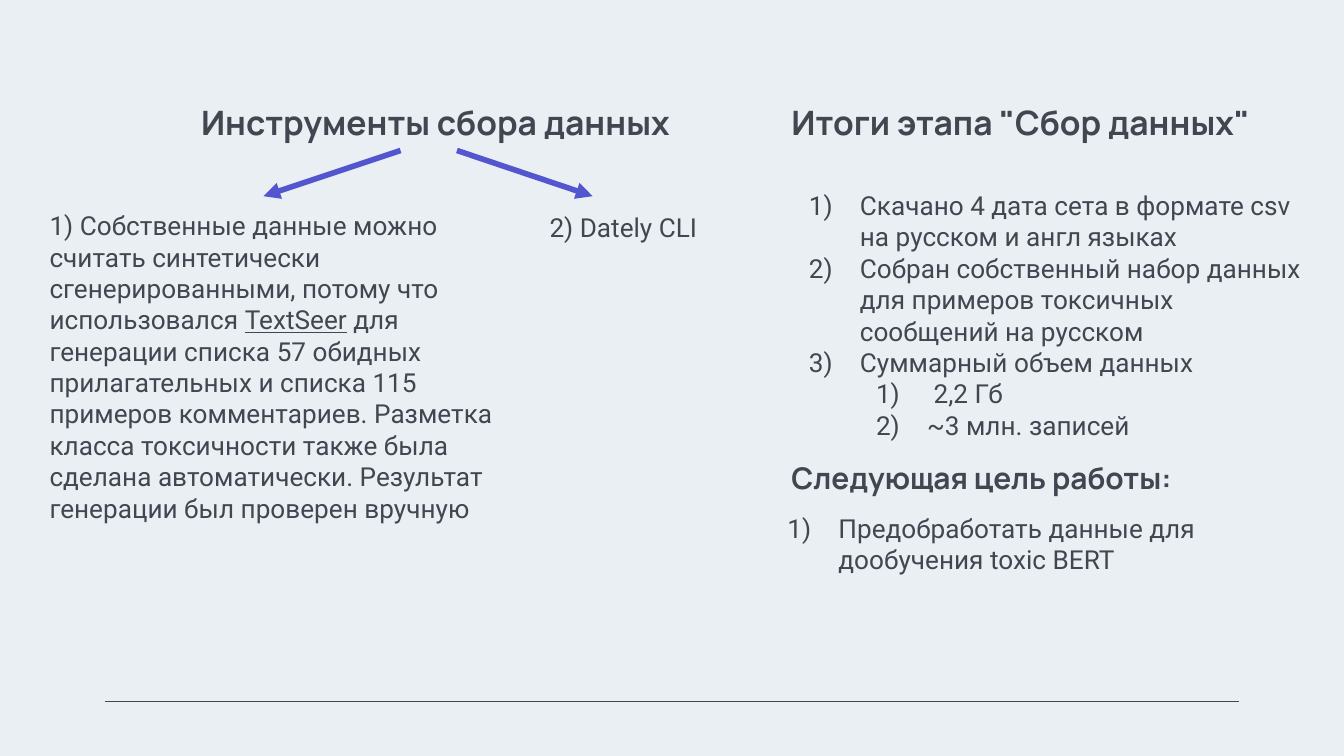
from dataclasses import dataclass
from typing import Optional

from lxml import etree
from pptx import Presentation
from pptx import util as u
from pptx.dml.color import RGBColor
from pptx.enum import shapes, text
from pptx.oxml import ns

CELL = 0.1  # inches per grid column and row
INK, ACCENT, PAPER = "424651", "5456CF", "EAEFF4"
TITLE_FONT, BODY_FONT = "Manrope", "Roboto"


@dataclass
class Box:
    column: float
    row: float
    columns: float
    rows: float


@dataclass
class Run:
    words: str
    underline: bool = False


@dataclass
class Item:
    runs: list[Run]
    level: int = 0


@dataclass
class Line:
    start: tuple[float, float]
    end: tuple[float, float]
    color: str
    weight: float
    arrow: bool = False


def grid(cells: float) -> int:
    return u.Inches(cells * CELL)


def color(value: str) -> RGBColor:
    return RGBColor.from_string(value)


def add_child(parent, tag: str, **attributes: str):
    return etree.SubElement(parent, ns.qn(tag), **attributes)


def set_indent(paragraph, left: float, hanging: float = 0) -> None:
    properties = paragraph._p.get_or_add_pPr()
    properties.set("marL", str(grid(left)))
    properties.set("indent", str(-grid(hanging)))


def number_paragraph(paragraph, level: int) -> None:
    paragraph.level = level
    set_indent(paragraph, 5.4 + 5 * level, 3.8)
    properties = paragraph._p.get_or_add_pPr()
    add_child(add_child(properties, "a:buClr"), "a:srgbClr", val=INK)
    add_child(properties, "a:buFont", typeface=BODY_FONT)
    add_child(properties, "a:buAutoNum", type="arabicParenR")


def add_text(slide, box: Box, items: list[Item], *, size: float = 14,
             font: str = BODY_FONT, bold: bool = False, numbered: bool = False,
             indent: float = 0, inset: Optional[float] = 1,
             align=text.PP_ALIGN.LEFT) -> None:
    shape = slide.shapes.add_textbox(grid(box.column), grid(box.row),
                                     grid(box.columns), grid(box.rows))
    frame = shape.text_frame
    frame.word_wrap = True
    if inset is None:
        frame.auto_size = text.MSO_AUTO_SIZE.SHAPE_TO_FIT_TEXT
    else:
        frame.margin_left = frame.margin_right = grid(inset)
        frame.margin_top = frame.margin_bottom = grid(inset)
    for index, item in enumerate(items):
        paragraph = frame.add_paragraph() if index else frame.paragraphs[0]
        paragraph.alignment = align
        if numbered:
            number_paragraph(paragraph, item.level)
        elif indent:
            set_indent(paragraph, indent)
        for part in item.runs:
            run = paragraph.add_run()
            run.text = part.words
            run.font.name, run.font.size = font, u.Pt(size)
            run.font.bold, run.font.underline = bold, part.underline
            run.font.color.rgb = color(INK)


def add_line(slide, line: Line) -> None:
    connector = slide.shapes.add_connector(
        shapes.MSO_CONNECTOR.STRAIGHT, *map(grid, line.start + line.end))
    connector.line.color.rgb = color(line.color)
    connector.line.width = u.Pt(line.weight)
    if line.arrow:
        add_child(connector.line._get_or_add_ln(), "a:tailEnd", type="triangle")
    add_child(connector._element.spPr, "a:effectLst")


def plain(words: str, level: int = 0) -> Item:
    return Item([Run(words)], level)


def main() -> None:
    presentation = Presentation()
    presentation.slide_width, presentation.slide_height = grid(100), grid(56.25)
    slide = presentation.slides.add_slide(presentation.slide_layouts[6])
    slide.background.fill.solid()
    slide.background.fill.fore_color.rgb = color(PAPER)

    # Footer rule and the arrows branching from the left heading
    for line in (
        Line((7.8, 52.2), (92.2, 52.2), INK, 0.75),
        Line((29.8, 11.2), (19.6, 14.6), ACCENT, 3, arrow=True),
        Line((34, 11.2), (44.1, 14.6), ACCENT, 3, arrow=True),
    ):
        add_line(slide, line)

    # Collection tools
    add_text(slide, Box(13.8, 6.6, 37.2, 6.3), [plain("Инструменты сбора данных")],
             size=18, font=TITLE_FONT, bold=True, align=text.PP_ALIGN.CENTER)
    own_data = Item([
        Run("1) Собственные данные можно считать синтетически сгенерированными, "
            "потому что использовался "),
        Run("TextSeer", underline=True),
        Run(" для генерации списка 57 обидных прилагательных и списка 115 примеров "
            "комментариев. Разметка класса токсичности также была сделана "
            "автоматически. Результат генерации был проверен вручную"),
    ])
    add_text(slide, Box(1, 14.6, 37.2, 27), [own_data], indent=1.7)
    add_text(slide, Box(38.2, 14.7, 17.8, 4.4), [plain("2) Dately CLI")], indent=1.7)

    # Results of the stage
    add_text(slide, Box(57.9, 7.1, 37.8, 4), [plain('Итоги этапа "Сбор данных"')],
             size=18, font=TITLE_FONT, bold=True, inset=None)
    results = [
        plain("Скачано 4 дата сета в формате csv на русском и англ языках"),
        plain("Собран собственный набор данных для примеров токсичных "
              "сообщений на русском"),
        plain("Суммарный объем данных"),
        plain(" 2,2 Гб", level=1),
        plain("~3 млн. записей", level=1),
    ]
    add_text(slide, Box(57.6, 13.1, 41.4, 17.5), results, numbered=True)

    # Next goal
    add_text(slide, Box(57.9, 33.7, 37.8, 3.7), [plain("Следующая цель работы:")],
             size=16, font=TITLE_FONT, bold=True, inset=None)
    add_text(slide, Box(56, 37.1, 41.4, 17.5),
             [plain("Предобработать данные для дообучения toxic BERT")], numbered=True)

    presentation.save("out.pptx")


if __name__ == "__main__":
    main()
